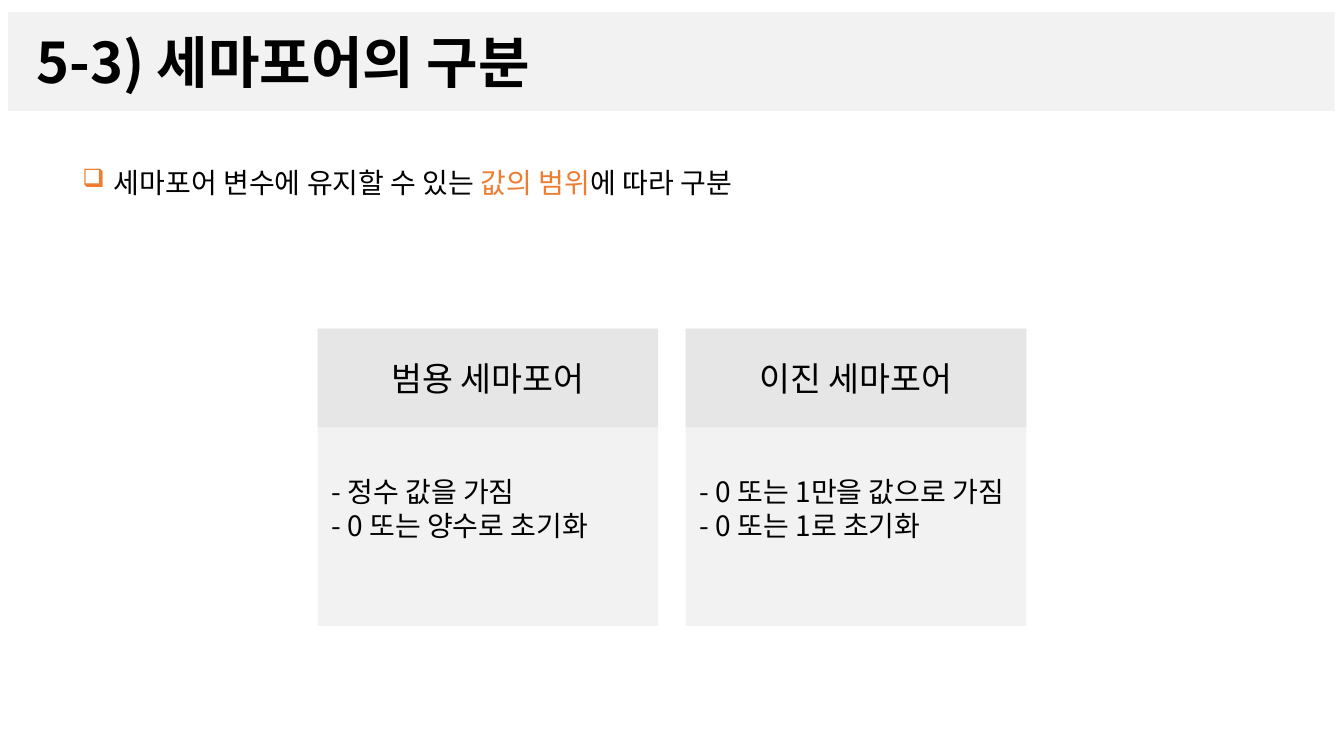
from lxml.etree import SubElement
from pptx import Presentation
from pptx.dml.color import RGBColor
from pptx.enum.shapes import MSO_SHAPE as Shape
from pptx.enum.text import MSO_ANCHOR as Anchor, MSO_AUTO_SIZE as AutoSize, PP_ALIGN as Align
from pptx.oxml.ns import qn
from pptx.util import Pt

FONT = "Noto Sans CJK KR"
COLORS = {"text": "000000", "accent": "ED7D31", "panel": "F2F2F2", "header": "E7E6E6"}
CARD_LEFT, CARD_TOP, CARD_WIDTH, CARD_PITCH = 226.8, 234.7, 243.4, 263
CARD_HEIGHT, HEADER_HEIGHT = 212.4, 70.6
CARDS = [
    ("범용 세마포어", ["- 정수 값을 가짐", "- 0 또는 양수로 초기화"]),
    ("이진 세마포어", ["- 0 또는 1만을 값으로 가짐", "- 0 또는 1로 초기화"]),
]


def rgb(name):
    """Return the named colour."""
    return RGBColor.from_string(COLORS[name])


def style_paragraph(para, size, bold=False):
    """Set the font of a paragraph for Latin and Korean text."""
    font = para.font
    font.size, font.bold, font.name = Pt(size), bold, FONT
    font.color.rgb = rgb("text")
    SubElement(para._p.pPr.find(qn("a:defRPr")), qn("a:ea"), typeface=FONT)


def set_margins(frame, left, top, right, bottom):
    """Set the inner margins of a text frame."""
    frame.margin_left, frame.margin_top = Pt(left), Pt(top)
    frame.margin_right, frame.margin_bottom = Pt(right), Pt(bottom)


def add_panel(shapes, bounds, fill, lines, size, margins, align=Align.LEFT, bold=False):
    """Add a plain filled rectangle with one paragraph per line."""
    box = shapes.add_shape(Shape.RECTANGLE, *map(Pt, bounds))
    box.shadow.inherit = False
    box.fill.solid()
    box.fill.fore_color.rgb = rgb(fill)
    box.line.fill.background()
    frame = box.text_frame
    frame.word_wrap = True
    frame.vertical_anchor = Anchor.MIDDLE
    set_margins(frame, *margins)
    frame.text = "\n".join(lines)
    for para in frame.paragraphs:
        para.alignment = align
        style_paragraph(para, size, bold)


def add_bullet(page, bounds, spans):
    """Add a bulleted line made of coloured spans."""
    frame = page.shapes.add_textbox(*map(Pt, bounds)).text_frame
    frame.word_wrap = True
    frame.auto_size = AutoSize.SHAPE_TO_FIT_TEXT
    para = frame.paragraphs[0]
    para.space_after = Pt(6)
    props = para._p.get_or_add_pPr()
    props.set("marL", str(Pt(22.5)))
    props.set("indent", str(Pt(-22.5)))
    SubElement(SubElement(props, qn("a:buClr")), qn("a:srgbClr"), val=COLORS["accent"])
    SubElement(props, qn("a:buSzPct"), val="90000")
    SubElement(props, qn("a:buChar"), char="❑")
    style_paragraph(para, 20)
    for text, color in spans:
        span = para.add_run()
        span.text = text
        if color != "text":
            span.font.color.rgb = rgb(color)


def add_card(shapes, left, title, lines):
    """Add a body panel with a header across its top."""
    add_panel(shapes, (left, CARD_TOP, CARD_WIDTH, CARD_HEIGHT), "panel", lines, 20,
              (10, 48.2, 7.2, 3.6))
    add_panel(shapes, (left, CARD_TOP, CARD_WIDTH, HEADER_HEIGHT), "header", [title], 24,
              (5.8, 3.6, 5.8, 3.6), Align.CENTER)


def main():
    """Build and save the slide."""
    deck = Presentation()
    deck.slide_width, deck.slide_height = Pt(960), Pt(540)
    page = deck.slides.add_slide(deck.slide_layouts[6])
    add_panel(page.shapes, (5.8, 8.6, 947.5, 70.6), "panel", ["5-3) 세마포어의 구분"], 40,
              (20.2, 3.6, 7.2, 3.6), bold=True)
    add_bullet(page, (51.8, 114.5, 658.8, 31.7), [
        ("세마포어 변수에 유지할 수 있는 ", "text"),
        ("값의 범위", "accent"),
        ("에 따라 구분", "text"),
    ])
    cards = page.shapes.add_group_shape()
    for index, (title, lines) in enumerate(CARDS):
        add_card(cards.shapes, CARD_LEFT + index * CARD_PITCH, title, lines)
    deck.save("out.pptx")


if __name__ == "__main__":
    main()
